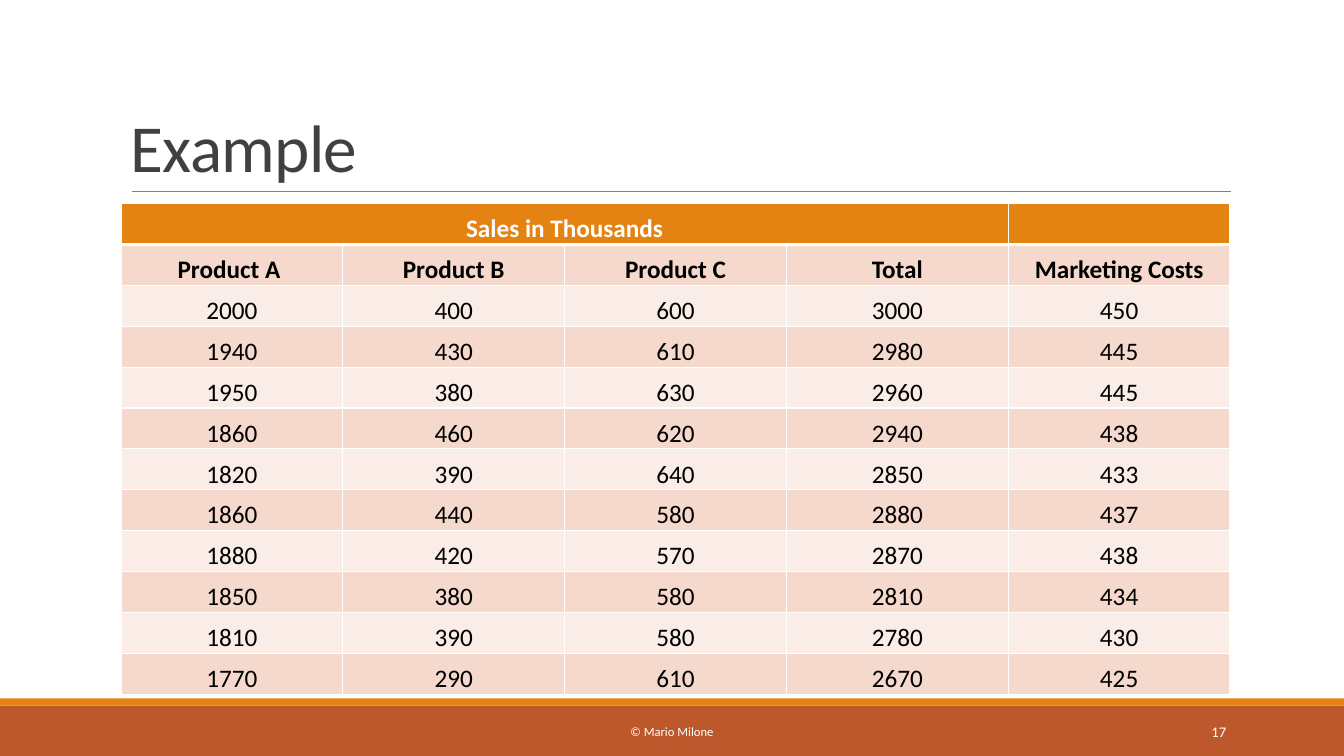
"""Build the sales and marketing cost example slide."""
from lxml.etree import SubElement
from pptx import Presentation
from pptx.dml.color import RGBColor
from pptx.enum.shapes import MSO_CONNECTOR, MSO_SHAPE
from pptx.enum.text import MSO_ANCHOR, PP_ALIGN
from pptx.oxml.ns import qn
from pptx.util import Inches, Pt

TITLE = "Example"
GROUP_HEADING = "Sales in Thousands"
HEADINGS = ("Product A ", "Product B", "Product C", "Total", "Marketing Costs")
SALES = [
    (2000, 400, 600, 3000, 450),
    (1940, 430, 610, 2980, 445),
    (1950, 380, 630, 2960, 445),
    (1860, 460, 620, 2940, 438),
    (1820, 390, 640, 2850, 433),
    (1860, 440, 580, 2880, 437),
    (1880, 420, 570, 2870, 438),
    (1850, 380, 580, 2810, 434),
    (1810, 390, 580, 2780, 430),
    (1770, 290, 610, 2670, 425),
]
FOOTER = "© Mario Milone"
PAGE_NUMBER = "17"

THEME = {
    "font": "Calibri",
    "white": "FFFFFF",
    "black": "000000",
    "title": "404040",
    "rule": "808080",
    "accent": "E48312",
    "footer": "BD582C",
    "bands": ("FAEDE7", "F5D9CC"),
    "title_size": 48,
    "table_size": 18,
    "footer_size": 9,
    "number_size": 10.5,
}


def color(name):
    return RGBColor.from_string(THEME.get(name, name))


def write(frame, text, *, size, ink, bold=False, align=PP_ALIGN.LEFT, leading=None, tracking=None):
    para = frame.paragraphs[0]
    para.alignment = align
    if leading:
        para.line_spacing = leading
    span = para.add_run()
    span.text = text
    span.font.name = THEME["font"]
    span.font.size = Pt(THEME[size])
    span.font.bold = bold
    span.font.color.rgb = color(ink)
    if tracking:
        span.font._element.set("spc", str(round(tracking * 100)))


def add_text(page, place, text, *, anchor=MSO_ANCHOR.MIDDLE, **style):
    box = page.shapes.add_textbox(*map(Inches, place))
    box.text_frame.word_wrap = True
    box.text_frame.vertical_anchor = anchor
    write(box.text_frame, text, **style)


def add_band(page, top, height, fill):
    band = page.shapes.add_shape(
        MSO_SHAPE.RECTANGLE, 0, Inches(top), Inches(13.33), Inches(height))
    band.shadow.inherit = False
    band.fill.solid()
    band.fill.fore_color.rgb = color(fill)
    band.line.fill.background()


def add_rule(page):
    rule = page.shapes.add_connector(
        MSO_CONNECTOR.STRAIGHT, Inches(1.31), Inches(1.9), Inches(12.21), Inches(1.9))
    rule.line.color.rgb = color("rule")
    rule.line.width = Pt(0.5)
    SubElement(rule._element.spPr, qn("a:effectLst"))


def format_cell(cell, fill, widths):
    cell.vertical_anchor = MSO_ANCHOR.BOTTOM
    cell.margin_left = cell.margin_right = cell.margin_top = Inches(0.01)
    cell.margin_bottom = 0
    properties = cell._tc.get_or_add_tcPr()
    for side in "LRTB":
        border = SubElement(properties, qn(f"a:ln{side}"), w=str(Pt(widths.get(side, 1))))
        paint = SubElement(border, qn("a:solidFill"))
        SubElement(paint, qn("a:srgbClr"), val=THEME["white"])
    cell.fill.solid()
    cell.fill.fore_color.rgb = color(fill)


def add_sales_table(page):
    rows = [(GROUP_HEADING, "", "", "", ""), HEADINGS, *SALES]
    height = Inches(4.87)
    table = page.shapes.add_table(
        len(rows), len(HEADINGS), Inches(1.2), Inches(2.02), Inches(11), height).table
    for row in table.rows:
        row.height = height // len(rows)
    for row_index, values in enumerate(rows):
        header = row_index == 0
        fill = "accent" if header else THEME["bands"][row_index % 2]
        widths = {0: {"B": 3}, 1: {"T": 3}}.get(row_index, {})
        for column_index, value in enumerate(values):
            cell = table.cell(row_index, column_index)
            format_cell(cell, fill, widths)
            if value != "":
                write(cell.text_frame, str(value), size="table_size",
                      ink="white" if header else "black",
                      bold=row_index < 2, align=PP_ALIGN.CENTER)
    table.cell(0, 0).merge(table.cell(0, 3))


def main():
    deck = Presentation()
    deck.slide_width, deck.slide_height = Inches(13.33), Inches(7.5)
    page = deck.slides.add_slide(deck.slide_layouts[6])
    add_band(page, 7, 0.5, "footer")
    add_band(page, 6.93, 0.07, "accent")
    add_rule(page)
    add_text(page, (1.2, 0.31, 11, 1.59), TITLE, anchor=MSO_ANCHOR.BOTTOM,
             size="title_size", ink="title", leading=0.85, tracking=-0.5)
    add_sales_table(page)
    add_text(page, (4.03, 7.06, 5.27, 0.4), FOOTER,
             size="footer_size", ink="white", align=PP_ALIGN.CENTER)
    add_text(page, (10.83, 7.06, 1.43, 0.4), PAGE_NUMBER,
             size="number_size", ink="white", align=PP_ALIGN.RIGHT)
    deck.save("out.pptx")


if __name__ == "__main__":
    main()
